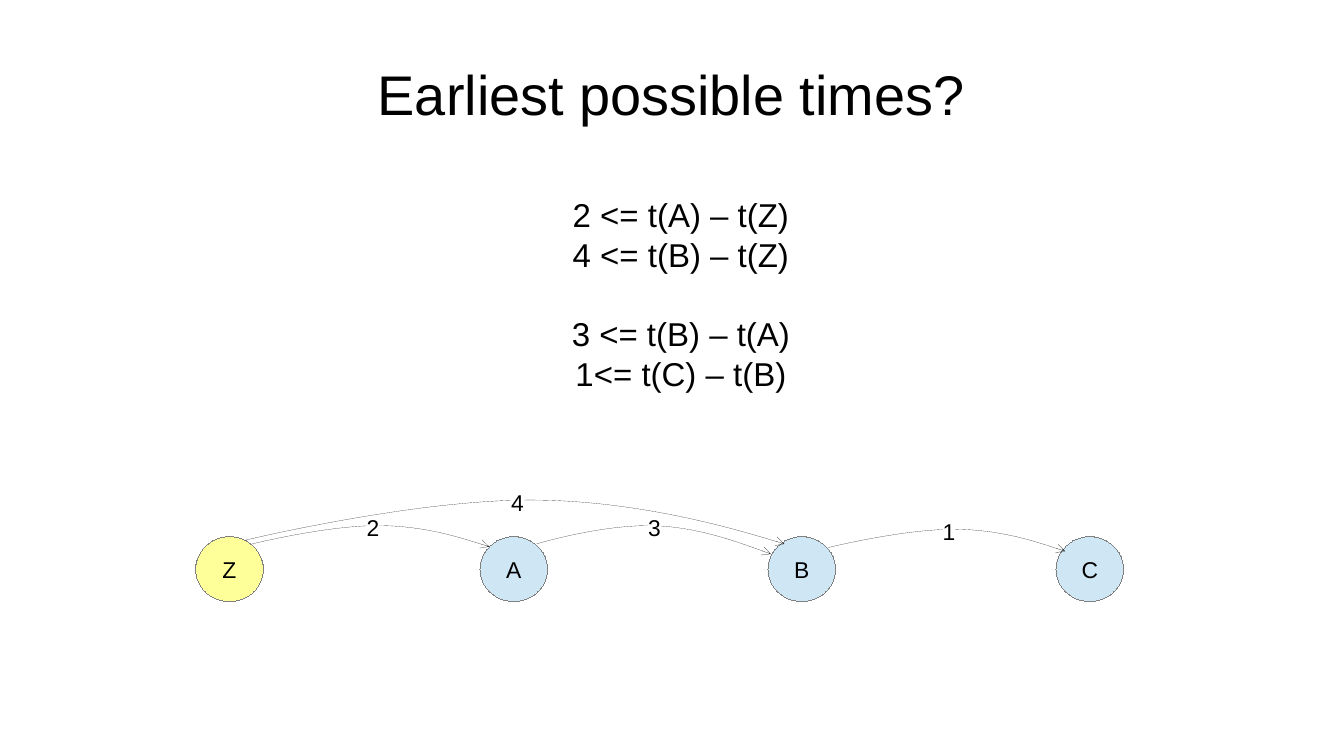
"""Build the slide on earliest possible times in a constraint graph."""
from dataclasses import dataclass

import lxml.etree
import pptx
import pptx.dml.color
import pptx.enum.shapes
import pptx.enum.text
import pptx.oxml.ns
import pptx.util
from pptx.util import Inches

FONT = "Arial"
BLACK = "000000"
WHITE = "FFFFFF"
GREY = "808080"
BLUE = "CFE7F5"
YELLOW = "FFFF99"
NODE_TOP, NODE_WIDTH, NODE_HEIGHT = 5.87, 0.74, 0.71
LABEL_WIDTH, LABEL_HEIGHT, LABEL_RISE = 0.14, 0.28, 0.12
CENTER = pptx.enum.text.PP_ALIGN.CENTER
LEFT = pptx.enum.text.PP_ALIGN.LEFT
OVAL = pptx.enum.shapes.MSO_SHAPE.OVAL
RECTANGLE = pptx.enum.shapes.MSO_SHAPE.RECTANGLE

Point = tuple[float, float]


@dataclass
class Node:
    name: str
    left: float
    fill: str


@dataclass
class Arc:
    weight: str
    start: Point
    left_handle: float
    apex: Point
    right_handle: float
    end: Point
    label_left: float


@dataclass
class Line:
    text: str
    space_before: float = 0


NODES = [
    Node("Z", 2.14, YELLOW),
    Node("A", 5.25, BLUE),
    Node("B", 8.4, BLUE),
    Node("C", 11.55, BLUE),
]
ARCS = [
    Arc("2", (2.76, 5.95), 3.57, (4.13, 5.75), 4.66, (5.35, 5.98), 4.01),
    Arc("4", (2.68, 5.91), 4.5, (5.8, 5.47), 7.05, (8.58, 5.95), 5.59),
    Arc("3", (5.87, 5.95), 6.53, (7.09, 5.75), 7.62, (8.43, 6.06), 7.09),
    Arc("1", (9.06, 5.99), 9.87, (10.43, 5.79), 10.96, (11.65, 6.03), 10.31),
]
CONSTRAINTS = [
    Line("2 <= t(A) – t(Z)"),
    Line("4 <= t(B) – t(Z)"),
    Line("3 <= t(B) – t(A)", 31.5),
    Line("1<= t(C) – t(B)"),
]


def color(value: str) -> pptx.dml.color.RGBColor:
    return pptx.dml.color.RGBColor.from_string(value)


def write(shape, lines: list[Line], size: float, align=CENTER, wrap: bool = False) -> None:
    frame = shape.text_frame
    frame.word_wrap = wrap
    frame.vertical_anchor = pptx.enum.text.MSO_ANCHOR.MIDDLE
    frame.margin_left = frame.margin_right = frame.margin_top = frame.margin_bottom = 0
    for index, line in enumerate(lines):
        para = frame.add_paragraph() if index else frame.paragraphs[0]
        para.alignment = align
        if line.space_before:
            para.space_before = pptx.util.Pt(line.space_before)
        span = para.add_run()
        span.text = line.text
        span.font.name = FONT
        span.font.size = pptx.util.Pt(size)
        span.font.color.rgb = color(BLACK)


def draw_hairline(shape, value: str):
    shape.line.color.rgb = color(value)
    outline = shape._element.spPr.find(pptx.oxml.ns.qn("a:ln"))
    outline.set("w", "0")
    return outline


def add_shape(page, kind, left: float, top: float, width: float, height: float,
              fill: str = "", line: str = ""):
    shape = page.shapes.add_shape(
        kind, Inches(left), Inches(top), Inches(width), Inches(height))
    shape.shadow.inherit = False
    if fill:
        shape.fill.solid()
        shape.fill.fore_color.rgb = color(fill)
    else:
        shape.fill.background()
    if line:
        draw_hairline(shape, line)
    else:
        shape.line.fill.background()
    return shape


def add_title(page, text: str) -> None:
    box = page.shapes.add_textbox(Inches(0.73), Inches(0.33), Inches(13.23), Inches(1.38))
    write(box, [Line(text)], 44, wrap=True)


def add_node(page, node: Node) -> None:
    circle = add_shape(page, OVAL, node.left, NODE_TOP, NODE_WIDTH, NODE_HEIGHT,
                       node.fill, GREY)
    write(circle, [Line(node.name)], 18)


def round_segments(curve) -> None:
    """Turn each three straight segments into one cubic curve."""
    qn = pptx.oxml.ns.qn
    segments = list(curve._element.iter(qn("a:lnTo")))
    for first in range(0, len(segments), 3):
        cubic = lxml.etree.Element(qn("a:cubicBezTo"))
        segments[first].addprevious(cubic)
        for segment in segments[first:first + 3]:
            cubic.append(segment[0])
            segment.getparent().remove(segment)


def add_arc(page, arc: Arc) -> None:
    top = arc.apex[1]
    points = [arc.start, (arc.left_handle, top), arc.apex,
              (arc.right_handle, top), arc.end, arc.end]
    builder = page.shapes.build_freeform(Inches(arc.start[0]), Inches(arc.start[1]))
    builder.add_line_segments([(Inches(x), Inches(y)) for x, y in points], close=False)
    curve = builder.convert_to_shape()
    round_segments(curve)
    curve.shadow.inherit = False
    curve.fill.background()
    outline = draw_hairline(curve, BLACK)
    lxml.etree.SubElement(outline, pptx.oxml.ns.qn("a:tailEnd"), type="arrow")


def add_label(page, arc: Arc) -> None:
    label = add_shape(page, RECTANGLE, arc.label_left, arc.apex[1] - LABEL_RISE,
                      LABEL_WIDTH, LABEL_HEIGHT, WHITE)
    write(label, [Line(arc.weight)], 18, LEFT)


def main() -> None:
    deck = pptx.Presentation()
    deck.slide_width, deck.slide_height = Inches(14.7), Inches(8.27)
    page = deck.slides.add_slide(deck.slide_layouts[6])
    add_title(page, "Earliest possible times?")
    constraints = add_shape(page, RECTANGLE, 2.83, 1.71, 9.24, 3.01)
    write(constraints, CONSTRAINTS, 26)
    for node in NODES:
        add_node(page, node)
    for arc in ARCS:
        add_arc(page, arc)
        add_label(page, arc)
    deck.save("out.pptx")


if __name__ == "__main__":
    main()
